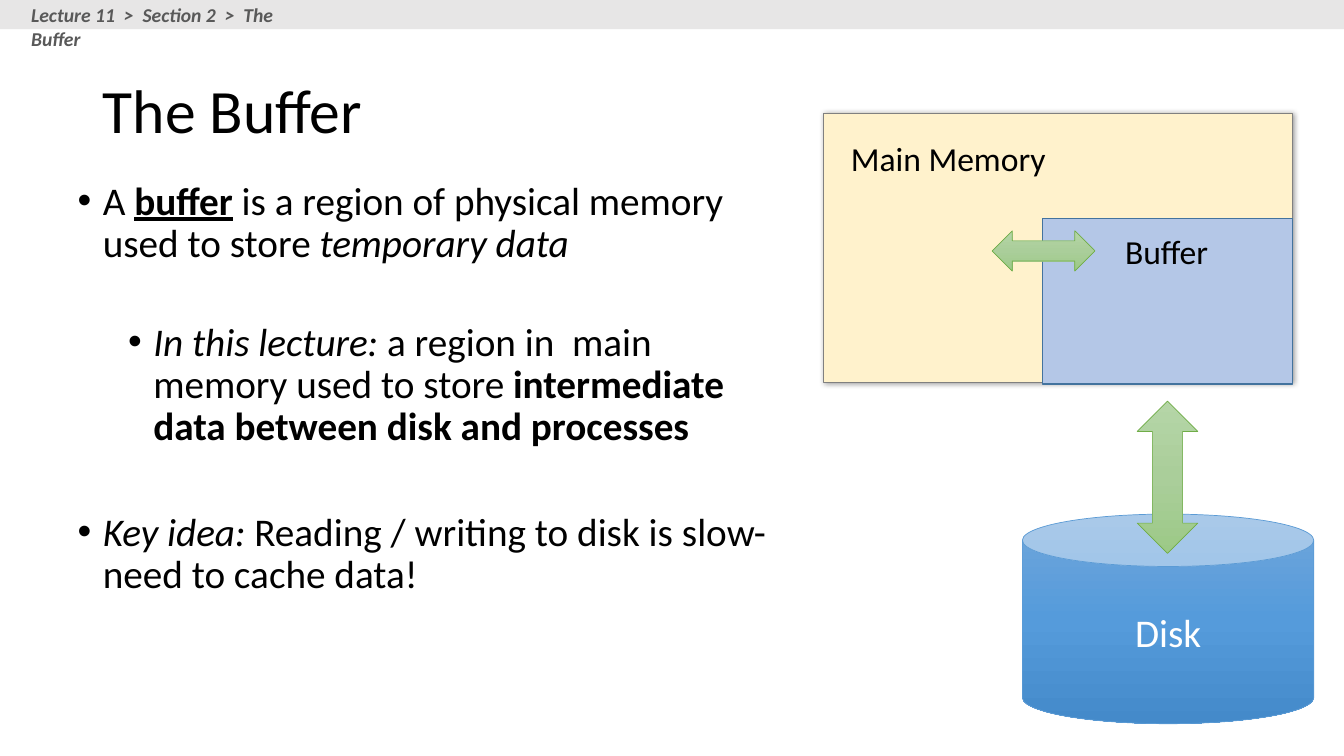
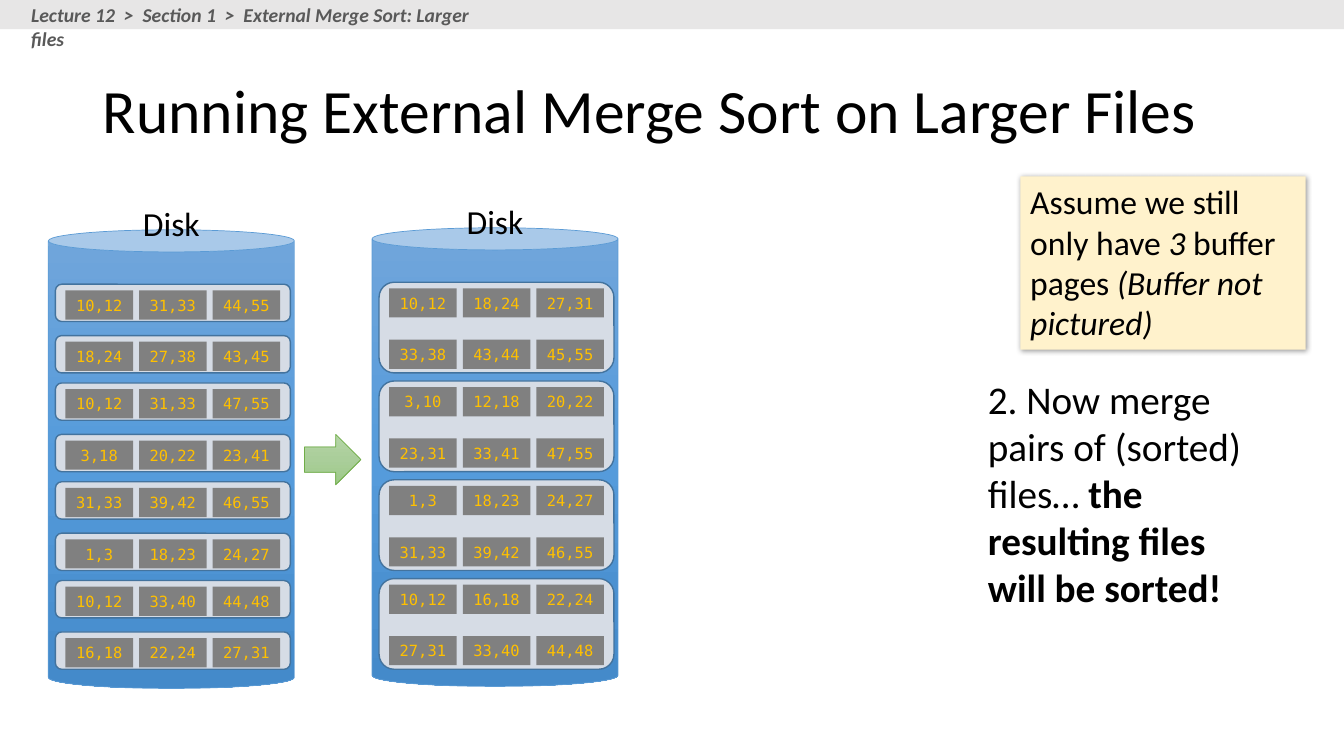
from dataclasses import dataclass
from typing import NamedTuple, Optional

from lxml import etree
from pptx import Presentation
from pptx.dml.color import RGBColor
from pptx.enum.shapes import MSO_SHAPE
from pptx.enum.text import MSO_ANCHOR, MSO_AUTO_SIZE, PP_ALIGN
from pptx.oxml.ns import qn
from pptx.util import Inches, Pt

RECTANGLE = MSO_SHAPE.RECTANGLE
ROUNDED = MSO_SHAPE.ROUNDED_RECTANGLE
CAN = MSO_SHAPE.CAN
VERTICAL_ARROW = MSO_SHAPE.UP_DOWN_ARROW
HORIZONTAL_ARROW = MSO_SHAPE.LEFT_RIGHT_ARROW
RIGHT_ARROW = MSO_SHAPE.RIGHT_ARROW
LEFT, CENTER = PP_ALIGN.LEFT, PP_ALIGN.CENTER
TOP, MIDDLE = MSO_ANCHOR.TOP, MSO_ANCHOR.MIDDLE
NO_AUTOFIT = MSO_AUTO_SIZE.NONE
TITLE_AND_CONTENT, TITLE_ONLY = 1, 5


@dataclass(frozen=True)
class Theme:
    font: str = "Calibri"
    mono_font: str = "DejaVu Sans Mono"
    title_size: int = 44
    body_size: int = 28
    label_size: int = 24
    breadcrumb_size: int = 14
    cell_size: int = 11
    black: str = "000000"
    white: str = "FFFFFF"
    band: str = "E7E6E6"
    breadcrumb: str = "595959"
    cream: str = "FFF2CC"
    memory_edge: str = "808080"
    buffer: str = "B4C7E7"
    blue_edge: str = "43739E"
    file: str = "D6DCE5"
    cell: str = "808080"
    cell_text: str = "FFC000"
    disk: tuple[str, ...] = ("71A6DB", "559BDB", "448ACA")
    disk_edge: str = "5B9BD5"
    arrow: tuple[str, ...] = ("B5D5A7", "AACE9A", "9CC987")
    arrow_edge: str = "70AD47"


THEME = Theme()


class Box(NamedTuple):
    left: float
    top: float
    width: float
    height: float

    def lengths(self) -> list:
        return [Inches(value) for value in self]


class TextRun(NamedTuple):
    text: str
    bold: bool = False
    italic: bool = False
    underline: bool = False


class TextStyle(NamedTuple):
    size: int
    color: str = THEME.black
    font: str = THEME.font


class Line(NamedTuple):
    color: str
    width: float


@dataclass(frozen=True)
class Bullet:
    runs: list[TextRun]
    space_before: int
    level: int = 0


@dataclass(frozen=True)
class DiskStack:
    left: float
    top: float
    rows_per_file: int
    file_height: float
    rows: list[str]


TITLE_BOX = Box(0.92, 0.4, 11.5, 1.45)
BAND_BOX = Box(0, 0, 13.33, 0.29)
BODY_BOX = Box(0.67, 1.75, 7.09, 5.43)
LABEL = TextStyle(THEME.label_size)
BODY = TextStyle(THEME.body_size)
CELL = TextStyle(THEME.cell_size, THEME.cell_text, THEME.mono_font)
BLUE_LINE = Line(THEME.blue_edge, 1)
DISK_LINE = Line(THEME.disk_edge, 0.5)
ARROW_LINE = Line(THEME.arrow_edge, 0.5)

BUFFER_BULLETS = [
    Bullet([TextRun("A "), TextRun("buffer", bold=True, underline=True),
            TextRun(" is a region of physical memory used to store "),
            TextRun("temporary data", italic=True)], 10),
    Bullet([TextRun("In this lecture: ", italic=True),
            TextRun("a region in  main memory used to store "),
            TextRun("intermediate data between disk and processes", bold=True)], 40, 1),
    Bullet([TextRun("Key idea: ", italic=True),
            TextRun("Reading / writing to disk is slow- need to cache data!")], 45),
]

DISK_STACKS = [
    DiskStack(0.48, 2.28, 1, 0.37, [
        "10,12 31,33 44,55", "18,24 27,38 43,45",
        "10,12 31,33 47,55", "3,18 20,22 23,41",
        "31,33 39,42 46,55", "1,3 18,23 24,27",
        "10,12 33,40 44,48", "16,18 22,24 27,31"]),
    DiskStack(3.69, 2.26, 2, 0.9, [
        "10,12 18,24 27,31", "33,38 43,44 45,55",
        "3,10 12,18 20,22", "23,31 33,41 47,55",
        "1,3 18,23 24,27", "31,33 39,42 46,55",
        "10,12 16,18 22,24", "27,31 33,40 44,48"]),
]


def add_runs(paragraph, runs: list[TextRun], style: TextStyle) -> None:
    for text_run in runs:
        run = paragraph.add_run()
        run.text = text_run.text
        font = run.font
        font.name, font.size = style.font, Pt(style.size)
        font.color.rgb = RGBColor.from_string(style.color)
        font.bold, font.italic = text_run.bold, text_run.italic
        font.underline = text_run.underline


def write_text(shape, runs: list[TextRun], style: TextStyle, alignment=LEFT,
               anchor=TOP, wrap: bool = True) -> None:
    frame = shape.text_frame
    frame.auto_size = NO_AUTOFIT
    frame.word_wrap = wrap
    frame.vertical_anchor = anchor
    paragraph = frame.paragraphs[0]
    paragraph.alignment = alignment
    add_runs(paragraph, runs, style)


def add_text(slide, box: Box, runs: list[TextRun], style: TextStyle, alignment=LEFT) -> None:
    write_text(slide.shapes.add_textbox(*box.lengths()), runs, style, alignment)


def fill_gradient(shape, colors: tuple[str, ...]) -> None:
    shape.fill.gradient()
    shape.fill.gradient_angle = 270
    stops = next(shape.element.iter(qn("a:gsLst")))
    stops.clear()
    for index, color in enumerate(colors):
        position = 100000 * index // (len(colors) - 1)
        stop = etree.SubElement(stops, qn("a:gs"), pos=str(position))
        etree.SubElement(stop, qn("a:srgbClr"), val=color)


def add_shadow(shape) -> None:
    effects = next(shape.element.iter(qn("a:effectLst")))
    shadow = etree.SubElement(effects, qn("a:outerShdw"), blurRad=str(Pt(4)),
                              dist=str(Pt(1)), dir="2700000", rotWithShape="0")
    color = etree.SubElement(shadow, qn("a:srgbClr"), val=THEME.black)
    etree.SubElement(color, qn("a:alpha"), val="40000")


def add_shape(slide, kind, box: Box, fill: str | tuple[str, ...],
              line: Optional[Line] = None, shadow: bool = False):
    shape = slide.shapes.add_shape(kind, *box.lengths())
    shape.shadow.inherit = False
    if isinstance(fill, tuple):
        fill_gradient(shape, fill)
    else:
        shape.fill.solid()
        shape.fill.fore_color.rgb = RGBColor.from_string(fill)
    if line:
        shape.line.color.rgb = RGBColor.from_string(line.color)
        shape.line.width = Pt(line.width)
    else:
        shape.line.fill.background()
    if shadow:
        add_shadow(shape)
    return shape


def place(placeholder, box: Box) -> None:
    (placeholder.left, placeholder.top,
     placeholder.width, placeholder.height) = box.lengths()


def add_slide(presentation, layout: int, title: str, breadcrumb: str, breadcrumb_width: float):
    slide = presentation.slides.add_slide(presentation.slide_layouts[layout])
    heading = slide.shapes.title
    place(heading, TITLE_BOX)
    write_text(heading, [TextRun(title)], TextStyle(THEME.title_size), anchor=MIDDLE)
    heading.text_frame.paragraphs[0].line_spacing = 0.9
    add_shape(slide, RECTANGLE, BAND_BOX, THEME.band)
    add_text(slide, Box(0.21, -0.02, breadcrumb_width, 0.34),
             [TextRun(breadcrumb, bold=True, italic=True)],
             TextStyle(THEME.breadcrumb_size, THEME.breadcrumb))
    return slide


def fill_body(placeholder, bullets: list[Bullet]) -> None:
    place(placeholder, BODY_BOX)
    frame = placeholder.text_frame
    frame.auto_size = NO_AUTOFIT
    for index, bullet in enumerate(bullets):
        paragraph = frame.add_paragraph() if index else frame.paragraphs[0]
        paragraph.level = bullet.level
        paragraph.line_spacing = 0.9
        paragraph.space_before = Pt(bullet.space_before)
        properties = paragraph._p.get_or_add_pPr()
        properties.set("marL", str(Inches(0.25 + 0.5 * bullet.level)))
        properties.set("indent", str(Inches(-0.25)))
        etree.SubElement(properties, qn("a:buChar"), char="•")
        add_runs(paragraph, bullet.runs, BODY)


def add_disk_stack(slide, stack: DiskStack) -> None:
    def row_top(row: int) -> float:
        return stack.top + 0.98 * (row // 2) + 0.51 * (row % 2)

    can = add_shape(slide, CAN, Box(stack.left, stack.top, 2.44, 4.55), THEME.disk, DISK_LINE)
    can.adjustments[0] = 0.09
    add_text(slide, Box(stack.left + 0.72, stack.top - 0.32, 1, 0.5),
             [TextRun("Disk")], LABEL, CENTER)
    for row, values in enumerate(stack.rows):
        if row % stack.rows_per_file == 0:
            file_box = Box(stack.left + 0.07, row_top(row) + 0.54, 2.33, stack.file_height)
            add_shape(slide, ROUNDED, file_box, THEME.file, BLUE_LINE)
        for column, value in enumerate(values.split()):
            cell_box = Box(stack.left + 0.17 + 0.73 * column, row_top(row) + 0.6, 0.67, 0.29)
            cell = add_shape(slide, RECTANGLE, cell_box, THEME.cell)
            write_text(cell, [TextRun(value)], CELL, CENTER, MIDDLE, wrap=False)


def build_buffer_slide(presentation) -> None:
    slide = add_slide(presentation, TITLE_AND_CONTENT, "The Buffer",
                      "Lecture 11  >  Section 2  >  The Buffer", 3.1)
    fill_body(slide.placeholders[1], BUFFER_BULLETS)
    disk = add_shape(slide, CAN, Box(10.14, 5.1, 2.89, 2.08), THEME.disk, DISK_LINE)
    write_text(disk, [TextRun("Disk")], TextStyle(THEME.body_size, THEME.white), CENTER, MIDDLE)
    add_shape(slide, VERTICAL_ARROW, Box(11.28, 3.98, 0.6, 1.51), THEME.arrow, ARROW_LINE)
    add_shape(slide, RECTANGLE, Box(8.17, 1.12, 4.65, 2.67), THEME.cream,
              Line(THEME.memory_edge, 0.5), shadow=True)
    add_shape(slide, RECTANGLE, Box(10.34, 2.17, 2.48, 1.64), THEME.buffer, BLUE_LINE)
    add_text(slide, Box(8.34, 1.32, 2.3, 0.5), [TextRun("Main Memory")], LABEL)
    add_text(slide, Box(11.06, 2.24, 1.2, 0.5), [TextRun("Buffer")], LABEL)
    add_shape(slide, HORIZONTAL_ARROW, Box(9.84, 2.29, 1.02, 0.4), THEME.arrow, ARROW_LINE)


def build_merge_sort_slide(presentation) -> None:
    slide = add_slide(presentation, TITLE_ONLY, "Running External Merge Sort on Larger Files",
                      "Lecture 12  >  Section 1  >  External Merge Sort: Larger files", 4.82)
    for stack in DISK_STACKS:
        add_disk_stack(slide, stack)
    add_shape(slide, RIGHT_ARROW, Box(3.02, 4.31, 0.56, 0.5), THEME.arrow, ARROW_LINE)
    add_text(slide, Box(9.7, 3.67, 2.84, 2.46),
             [TextRun("2. Now merge pairs of (sorted) files… "),
              TextRun("the resulting files will be sorted!", bold=True)], BODY)
    note = add_shape(slide, RECTANGLE, Box(10.12, 1.75, 2.83, 1.72), THEME.cream, shadow=True)
    write_text(note, [TextRun("Assume we still only have "), TextRun("3", italic=True),
                      TextRun(" buffer pages "),
                      TextRun("(Buffer not pictured)", italic=True)], LABEL)


def main() -> None:
    presentation = Presentation()
    presentation.slide_width, presentation.slide_height = Inches(13.33), Inches(7.5)
    build_buffer_slide(presentation)
    build_merge_sort_slide(presentation)
    presentation.save("out.pptx")


if __name__ == "__main__":
    main()
